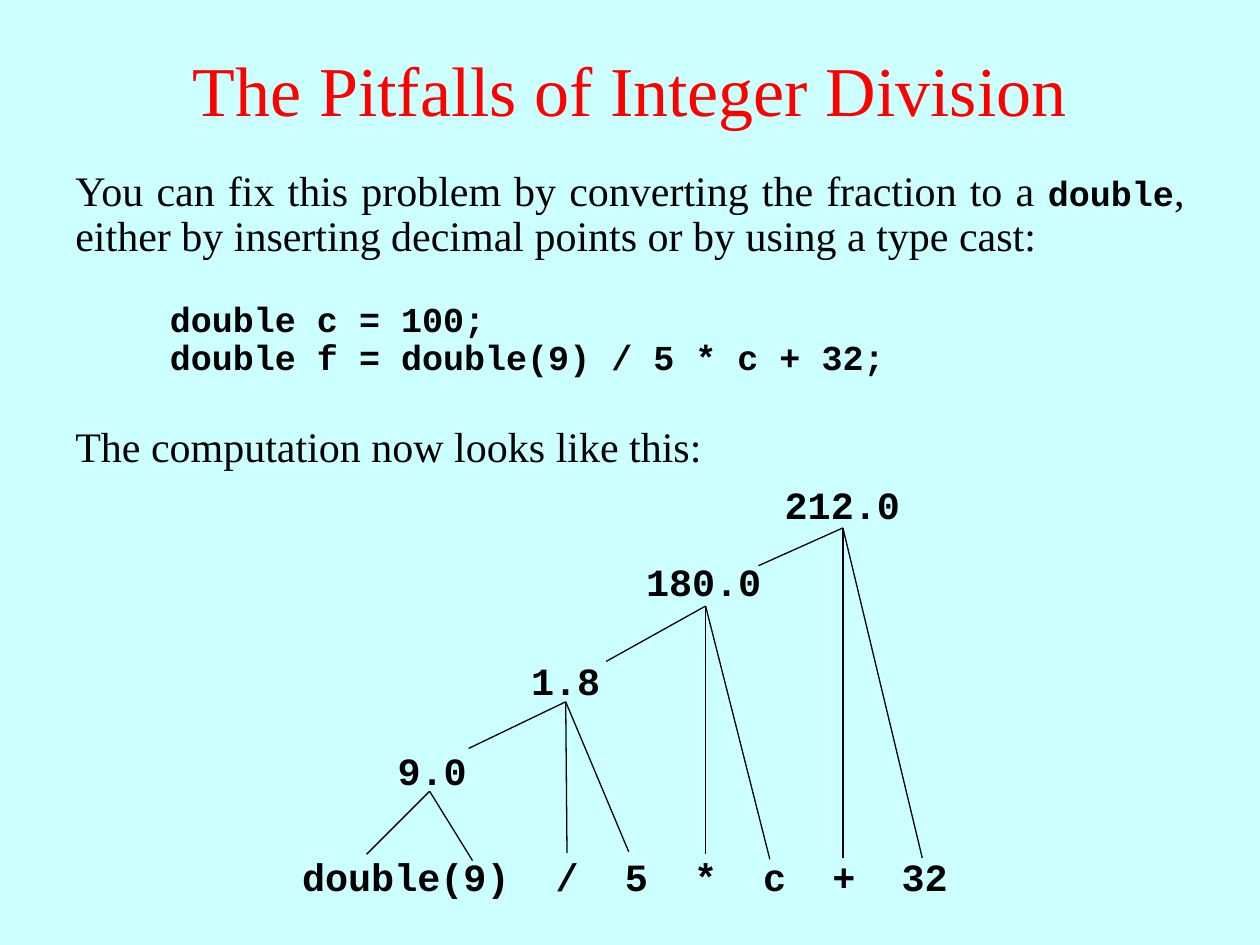
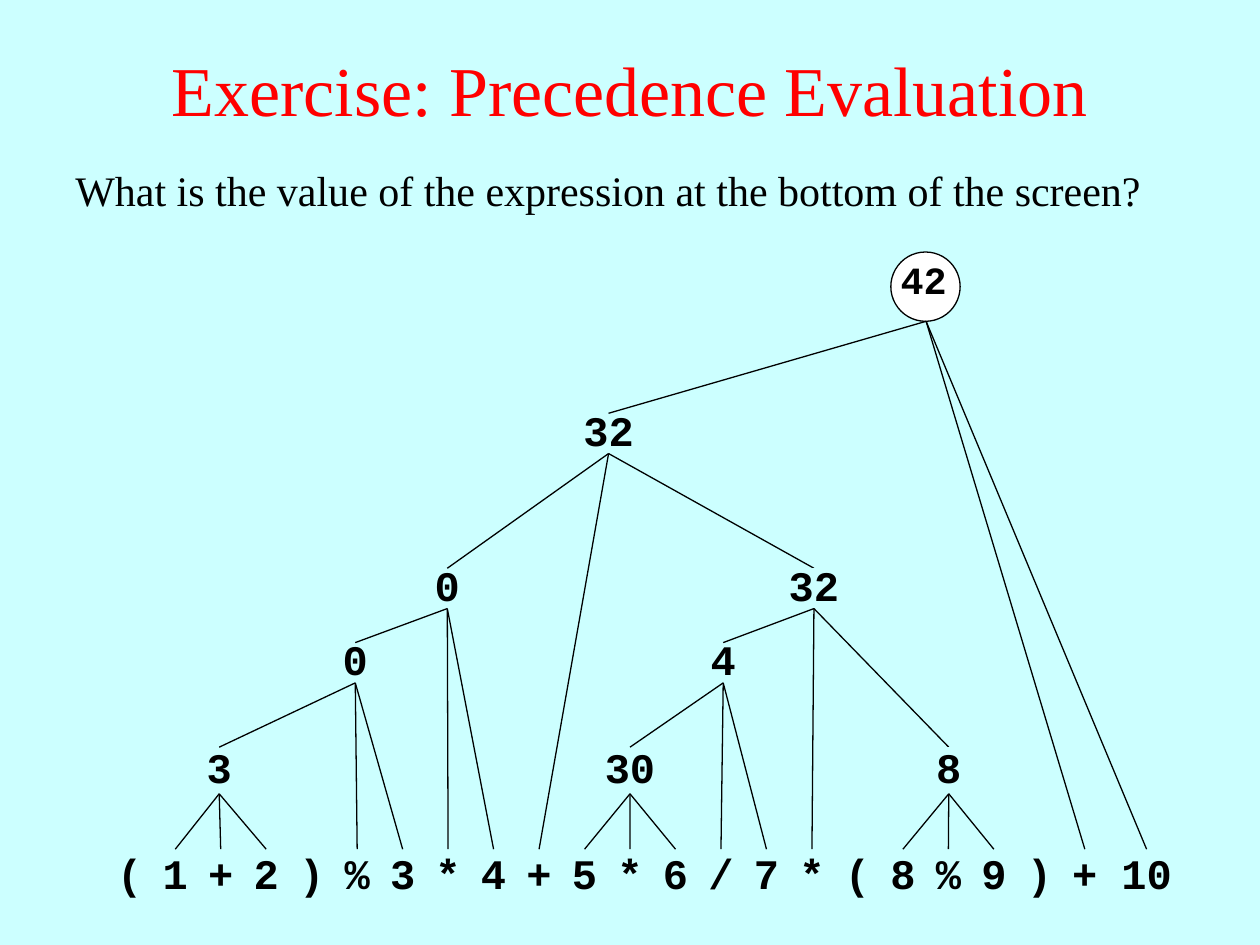
from pptx import Presentation
from pptx.dml.color import RGBColor
from pptx.enum.shapes import MSO_CONNECTOR as Connector, MSO_SHAPE as Shape
from pptx.enum.text import MSO_ANCHOR as Anchor, PP_ALIGN as Align
from pptx.oxml.ns import qn
from pptx.util import Inches, Pt
from lxml import etree

# Shared look
BACKGROUND, TITLE_COLOR, INK, WHITE = "CCFFFF", "FF0000", "000000", "FFFFFF"
SERIF, MONO = "Times New Roman", "Courier New"
TITLE = (SERIF, 40, False, TITLE_COLOR)
BODY = (SERIF, 24, False, INK)
CODE = (MONO, 20, True, INK)
VALUE = (MONO, 22, True, INK)
TOKEN = (MONO, 24, True, INK)
LINE_WIDTH = Pt(0.75)
rgb = RGBColor.from_string


def write(shape, paragraphs, align=Align.CENTER, spacing=None, anchor=Anchor.TOP, wrap=True):
    """Fill a shape with paragraphs, each a list of (text, style) runs."""
    frame = shape.text_frame
    frame.word_wrap = wrap
    frame.vertical_anchor = anchor
    for index, runs in enumerate(paragraphs):
        paragraph = frame.add_paragraph() if index else frame.paragraphs[0]
        paragraph.alignment = align
        if spacing:
            paragraph.line_spacing = spacing
        for text, (font, size, bold, color) in runs:
            run = paragraph.add_run()
            run.text = text
            run.font.name, run.font.size, run.font.bold = font, Pt(size), bold
            run.font.color.rgb = rgb(color)


def branch(slide, start, end):
    """Draw one branch of an evaluation tree."""
    line = slide.shapes.add_connector(Connector.STRAIGHT, *map(Inches, start + end))
    line.line.color.rgb = rgb(INK)
    line.line.width = LINE_WIDTH
    etree.SubElement(line._element.spPr, qn("a:effectLst"))


prs = Presentation()
prs.slide_width, prs.slide_height = Inches(10), Inches(7.5)
master_fill = prs.slide_master.background.fill
master_fill.solid()
master_fill.fore_color.rgb = rgb(BACKGROUND)

# Titles and body text of both slides
contents = [
    ("The Pitfalls of Integer Division", [
        ((0.5, 1.3, 9, 0.82), [[
            ("You can fix this problem by converting the fraction to a ", BODY),
            ("double", CODE),
            (", either by inserting decimal points or by using a type cast:", BODY)]]),
        ((1.25, 2.35, 8, 0.71), [
            [("double c = 100;", CODE)],
            [("double f = double(9) / 5 * c + 32;", CODE)]]),
        ((0.5, 3.33, 9, 0.46), [[("The computation now looks like this:", BODY)]]),
    ]),
    ("Exercise: Precedence Evaluation", [
        ((0.5, 1.3, 9, 0.46), [[
            ("What is the value of the expression at the bottom of the screen?", BODY)]]),
    ]),
]
slides = []
for title, passages in contents:
    slide = prs.slides.add_slide(prs.slide_layouts[6])
    heading = slide.shapes.add_textbox(*map(Inches, (0, 0.08, 10, 1.25)))
    write(heading, [[(title, TITLE)]], anchor=Anchor.MIDDLE)
    for place, paragraphs in passages:
        passage = slide.shapes.add_textbox(*map(Inches, place))
        write(passage, paragraphs, Align.JUSTIFY, 0.9)
    slides.append(slide)
division, exercise = slides

# Slide 1: value, its box, the apex below it and the ends of its branches
division_tree = [
    ("9.0", (2.93, 5.92, 1, 0.43), (3.41, 6.28), [(2.91, 6.78), (3.75, 6.83)]),
    ("1.8", (3.99, 5.21, 1, 0.43), (4.49, 5.57), [(3.72, 5.94), (4.5, 6.77), (4.99, 6.76)]),
    ("180.0", (5, 4.42, 1.17, 0.43), (5.6, 4.81), [(4.81, 5.25), (5.6, 6.78), (6.11, 6.82)]),
    ("212.0", (6.06, 3.81, 1.25, 0.43), (6.69, 4.19), [(6.02, 4.49), (6.69, 6.81), (7.32, 6.81)]),
    ("double(9)  /  5  *  c  +  32", (1, 6.76, 7.92, 0.44), None, []),
]
for value, place, apex, ends in division_tree:
    for end in ends:
        branch(division, apex, end)
    label = division.shapes.add_textbox(*map(Inches, place))
    write(label, [[(value, VALUE)]], spacing=0.9)

# Slide 2: the expression, one token per column
TOKEN_TOP, TOKEN_PITCH, CELL_WIDTH, CELL_HEIGHT = 6.74, 0.36, 0.34, 0.37
tokens = "( 1 + 2 ) % 3 * 4 + 5 * 6 / 7 * ( 8 % 9 ) + 10".split()
FIRST_X, PLUS_X, LAST_X = 1.03, 8.61, 9.1
TOKEN_PITCH = (PLUS_X - FIRST_X) / (len(tokens) - 2)
tops = {i: (FIRST_X + i * TOKEN_PITCH, TOKEN_TOP) for i in range(len(tokens) - 1)}
tops[len(tokens) - 1] = (LAST_X, TOKEN_TOP)
cells = [(token, *tops[i], CELL_HEIGHT, None) for i, token in enumerate(tokens)]

# Partial results: text, centre, top, height and children (token columns or other results)
results = {
    "sum": ("3", 1.74, 5.93, 0.37, [1, 2, 3]),
    "modulo": ("0", 2.82, 5.1, 0.32, ["sum", 5, 6]),
    "left": ("0", 3.55, 4.51, 0.32, ["modulo", 7, 8]),
    "addition": ("32", 4.83, 3.28, 0.32, ["left", 9, "right"]),
    "product": ("30", 5, 5.93, 0.37, [10, 11, 12]),
    "quotient": ("4", 5.74, 5.1, 0.32, ["product", 13, 14]),
    "right": ("32", 6.46, 4.51, 0.32, ["quotient", 15, "remainder"]),
    "remainder": ("8", 7.53, 5.93, 0.37, [17, 18, 19]),
}
for name, (text, x, top, height, children) in results.items():
    tops[name] = (x, top)

for text, x, top, height, children in cells + list(results.values()):
    place = (x - CELL_WIDTH / 2, top, CELL_WIDTH, height)
    cell = exercise.shapes.add_shape(Shape.RECTANGLE, *map(Inches, place))
    cell.shadow.inherit = False
    cell.fill.solid()
    cell.fill.fore_color.rgb = rgb(BACKGROUND)
    cell.line.fill.background()
    write(cell, [[(text, TOKEN)]], spacing=0.85 if children else None,
          anchor=Anchor.MIDDLE, wrap=False)
    for child in children or []:
        branch(exercise, (x, top + height), tops[child])

# Final answer in its circle
circle = exercise.shapes.add_shape(Shape.OVAL, *map(Inches, (7.07, 2, 0.55, 0.55)))
circle.shadow.inherit = False
circle.fill.solid()
circle.fill.fore_color.rgb = rgb(WHITE)
circle.line.color.rgb = rgb(INK)
circle.line.width = LINE_WIDTH
for child in ("addition", 21, 22):
    branch(exercise, (7.35, 2.55), tops[child])
answer = exercise.shapes.add_textbox(*map(Inches, (7.04, 2.04, 0.58, 0.43)))
write(answer, [[("42", VALUE)]], spacing=0.85)

prs.save("out.pptx")
